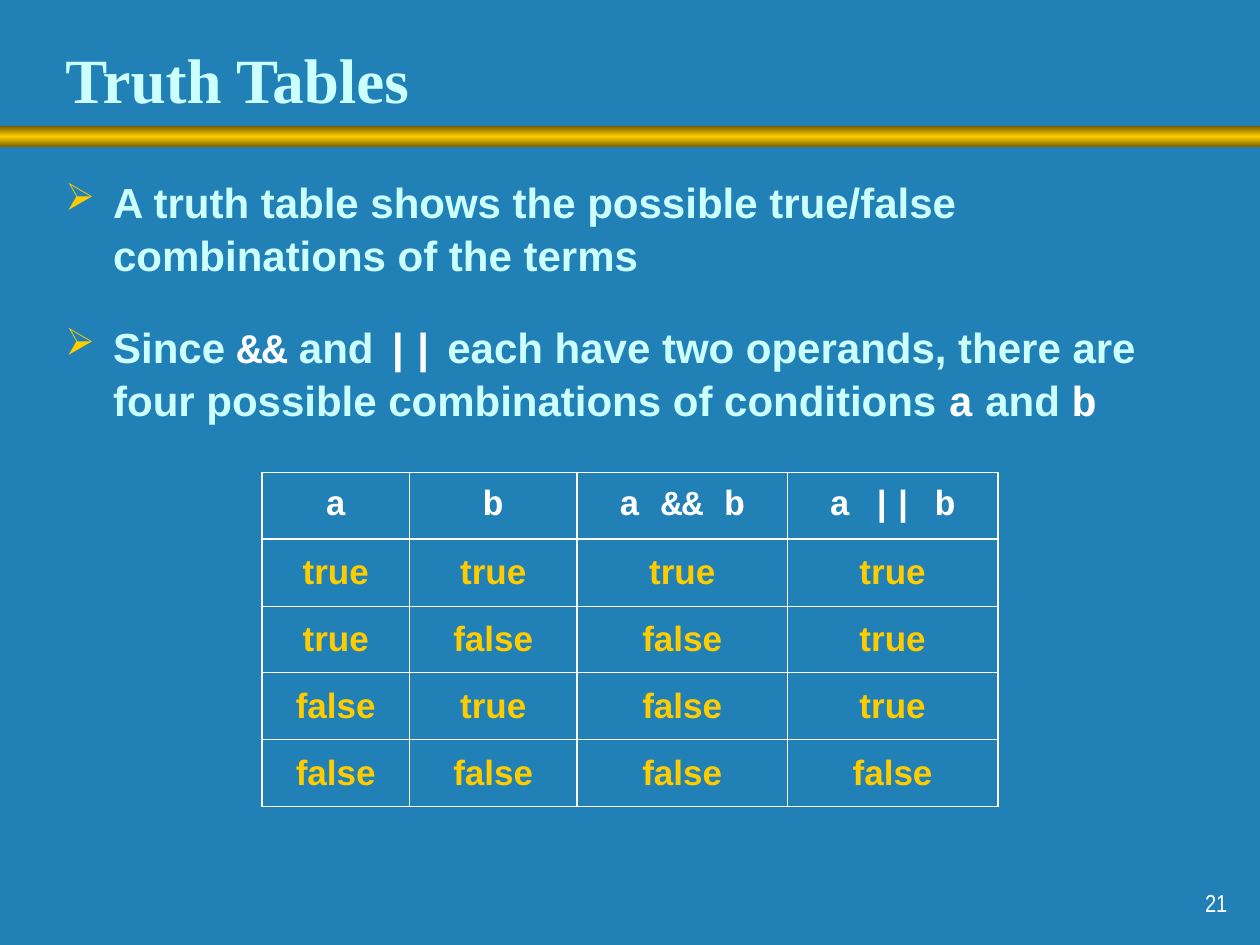
from copy import deepcopy

from lxml import etree
from pptx import Presentation
from pptx import util as u
from pptx.dml.color import RGBColor
from pptx.enum import shapes, text
from pptx.oxml.ns import qn

BACKGROUND, PALE, GOLD, DARK_GOLD, WHITE = "2181B7", "CCFFFF", "FFCC00", "755E00", "FFFFFF"
BODY_FONT, CODE_FONT = "Arial", "Courier New"

TITLE = "Truth Tables"
PAGE_NUMBER = "21"
# Each bullet alternates plain text and code, starting with plain text.
BULLETS = [
    ["A truth table shows the possible true/false combinations of the terms"],
    ["Since ", "&&", " and ", "||",
     " each have two operands, there are four possible combinations of conditions ",
     "a", " and ", "b"],
]
TRUTH_TABLE = [
    ["a", "b", "a && b", "a || b"],
    ["true", "true", "true", "true"],
    ["true", "false", "false", "true"],
    ["false", "true", "false", "true"],
    ["false", "false", "false", "false"],
]
COLUMN_WIDTHS = [1.17, 1.33, 1.67, 1.67]
ROW_HEIGHT = 0.53
THICK, THIN = 1.08, 0.45
COLUMN_LINES = [THICK, THIN, THICK, THIN, THICK]
ROW_LINES = [THICK, THICK, THIN, THIN, THIN, THICK]


def color(value):
    return RGBColor.from_string(value)


def format_run(run, size, font, fill, bold=True):
    run.font.size = u.Pt(size)
    run.font.name = font
    run.font.bold = bold
    run.font.color.rgb = color(fill)


def add_text_box(slide, left, top, width, height, anchor):
    box = slide.shapes.add_textbox(*map(u.Inches, (left, top, width, height)))
    frame = box.text_frame
    frame.word_wrap = True
    frame.vertical_anchor = anchor
    return frame


def add_line_of_text(slide, position, content, *style):
    frame = add_text_box(slide, *position, text.MSO_ANCHOR.BOTTOM)
    frame.text = content
    paragraph = frame.paragraphs[0]
    format_run(paragraph.runs[0], *style)
    return paragraph


def add_gold_bar(slide):
    bar = slide.shapes.add_shape(shapes.MSO_SHAPE.RECTANGLE, 0, u.Inches(1),
                                 u.Inches(10), u.Inches(0.17))
    bar.shadow.inherit = False
    bar.line.fill.background()
    bar.fill.gradient()
    bar.fill.gradient_angle = 90
    stop_list = bar.element.spPr.find(".//" + qn("a:gsLst"))
    stop_list.append(deepcopy(stop_list[-1]))
    stops = [(0, DARK_GOLD), (0.5, GOLD), (1, DARK_GOLD)]
    for stop, (position, value) in zip(bar.fill.gradient_stops, stops):
        stop.position = position
        stop.color.rgb = color(value)


def set_bullet(paragraph):
    properties = paragraph._p.get_or_add_pPr()
    properties.set("marL", str(u.Inches(0.38)))
    properties.set("indent", str(-u.Inches(0.38)))
    bullet_color = etree.SubElement(properties, qn("a:buClr"))
    etree.SubElement(bullet_color, qn("a:srgbClr"), val=GOLD)
    etree.SubElement(properties, qn("a:buSzPct"), val="90000")
    etree.SubElement(properties, qn("a:buChar"), char="➢")


def add_bullets(slide):
    frame = add_text_box(slide, 0.42, 1.33, 9.17, 2.08, text.MSO_ANCHOR.TOP)
    for index, pieces in enumerate(BULLETS):
        paragraph = frame.add_paragraph() if index else frame.paragraphs[0]
        paragraph.space_before = u.Pt(22.5)
        paragraph.line_spacing = 1.05
        set_bullet(paragraph)
        for piece_index, piece in enumerate(pieces):
            run = paragraph.add_run()
            run.text = piece
            style = (CODE_FONT, WHITE) if piece_index % 2 else (BODY_FONT, PALE)
            format_run(run, 24, *style)


def set_borders(cell, widths):
    """Draw the left, right, top and bottom borders with the given widths."""
    properties = cell._tc.get_or_add_tcPr()
    for index, (side, width) in enumerate(zip("LRTB", widths)):
        line = etree.Element(qn("a:ln" + side), w=str(u.Pt(width)))
        fill = etree.SubElement(line, qn("a:solidFill"))
        etree.SubElement(fill, qn("a:srgbClr"), val=WHITE)
        properties.insert(index, line)


def add_truth_table(slide):
    row_count, column_count = len(TRUTH_TABLE), len(COLUMN_WIDTHS)
    table = slide.shapes.add_table(
        row_count, column_count, u.Inches(2.08), u.Inches(3.75),
        u.Inches(sum(COLUMN_WIDTHS)), u.Inches(ROW_HEIGHT * row_count)).table
    table.first_row = table.horz_banding = False
    for column, width in zip(table.columns, COLUMN_WIDTHS):
        column.width = u.Inches(width)
    for r, values in enumerate(TRUTH_TABLE):
        table.rows[r].height = u.Inches(ROW_HEIGHT)
        style = (BODY_FONT, GOLD) if r else (CODE_FONT, WHITE)
        for c, value in enumerate(values):
            cell = table.cell(r, c)
            cell.fill.background()
            cell.vertical_anchor = text.MSO_ANCHOR.MIDDLE
            cell.text_frame.text = value
            paragraph = cell.text_frame.paragraphs[0]
            paragraph.alignment = text.PP_ALIGN.CENTER
            paragraph.space_before = u.Pt(5)
            format_run(paragraph.runs[0], 20, *style)
            set_borders(cell, COLUMN_LINES[c:c + 2] + ROW_LINES[r:r + 2])


def main():
    presentation = Presentation()
    presentation.slide_width, presentation.slide_height = u.Inches(10), u.Inches(7.5)
    slide = presentation.slides.add_slide(presentation.slide_layouts[6])
    slide.background.fill.solid()
    slide.background.fill.fore_color.rgb = color(BACKGROUND)

    add_gold_bar(slide)
    add_line_of_text(slide, (0.42, 0.22, 8.55, 0.75), TITLE, 36, "Times New Roman", PALE)
    add_bullets(slide)
    add_truth_table(slide)
    number = add_line_of_text(slide, (7.76, 6.83, 2.08, 0.5), PAGE_NUMBER,
                              14, "Arial Narrow", WHITE, False)
    number.alignment = text.PP_ALIGN.RIGHT
    presentation.save("out.pptx")


if __name__ == "__main__":
    main()
